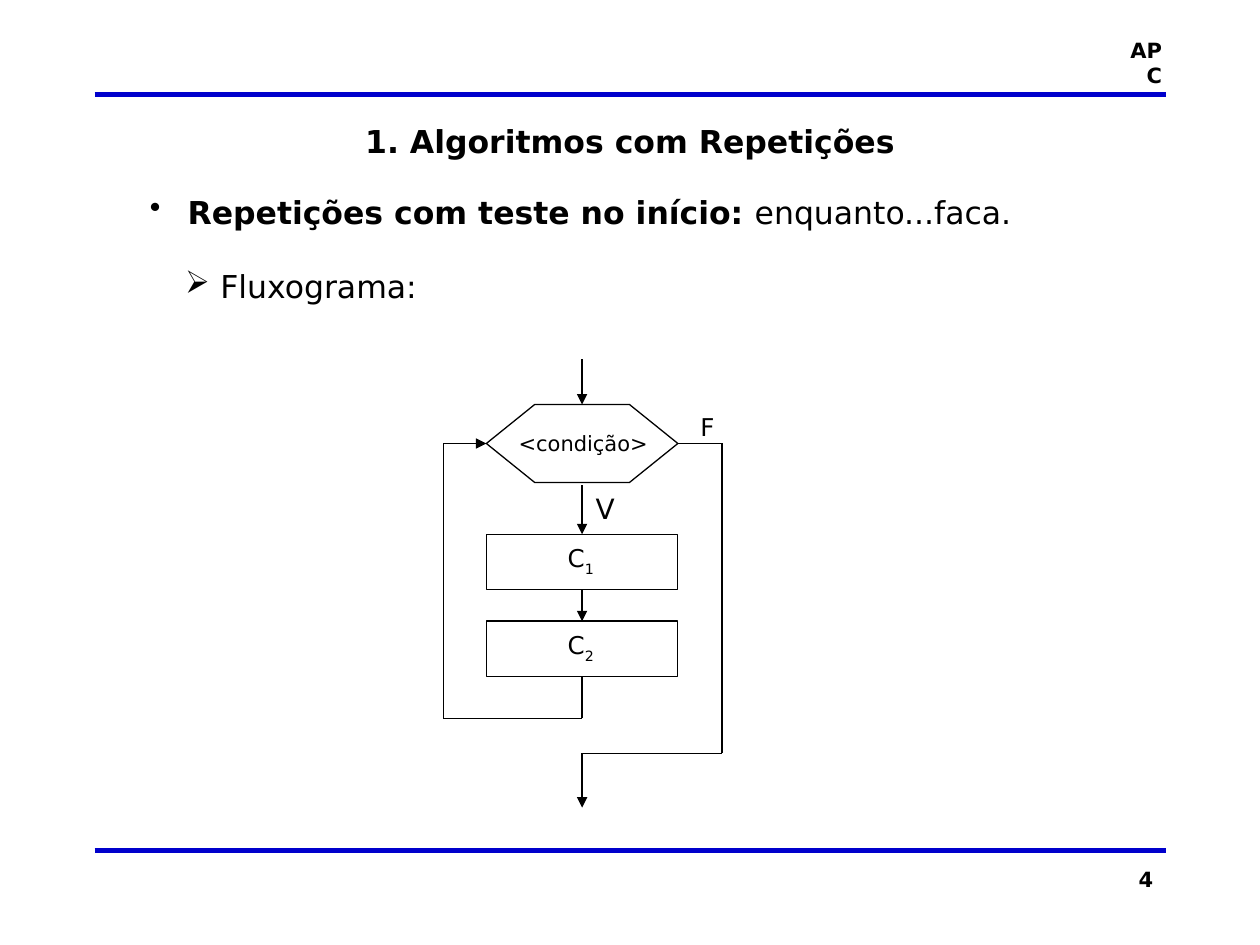
import dataclasses
import typing

import lxml.etree
import pptx
import pptx.dml.color
import pptx.enum.shapes
import pptx.enum.text
import pptx.oxml.ns
import pptx.util

BLACK = pptx.dml.color.RGBColor(0x00, 0x00, 0x00)
WHITE = pptx.dml.color.RGBColor(0xFF, 0xFF, 0xFF)
RULE_BLUE = pptx.dml.color.RGBColor(0x00, 0x00, 0xCC)
FONT = "DejaVu Sans"
ALIGN = pptx.enum.text.PP_ALIGN
ANCHOR = pptx.enum.text.MSO_ANCHOR
SHAPE = pptx.enum.shapes.MSO_SHAPE

SLIDE_WIDTH = pptx.util.Inches(10)
SLIDE_HEIGHT = pptx.util.Inches(7.5)
CELL = SLIDE_WIDTH // 100
MARGIN = 7.5
LOOP, BOX_LEFT, AXIS, BOX_RIGHT, EXIT = 35.2, 38.6, 46.2, 53.8, 57.3
BOX_WIDTH = BOX_RIGHT - BOX_LEFT
BOX_HEIGHT = 4.4
ENTRY, TEST_TOP, TEST_MIDDLE, TEST_BOTTOM = 28.5, 32.1, 35.2, 38.5
COMMAND_TOPS = (42.4, 49.3)
LOOP_BOTTOM, EXIT_BOTTOM, END = 57, 59.8, 64.1


@dataclasses.dataclass(frozen=True)
class Area:
    """A rectangle in grid columns and rows."""

    column: float
    row: float
    width: float
    height: float

    def lengths(self) -> tuple[int, ...]:
        """Return left, top, width and height as slide lengths."""
        return tuple(round(value * CELL) for value in dataclasses.astuple(self))


@dataclasses.dataclass(frozen=True)
class Label:
    """A single-line text box."""

    text: str
    area: Area
    size: int
    bold: bool = False
    alignment: typing.Any = ALIGN.LEFT
    wrap: bool = True


@dataclasses.dataclass(frozen=True)
class Flow:
    """A straight flowchart line, with optional joined boxes."""

    start: tuple[float, float]
    end: tuple[float, float]
    arrow: bool = False
    source: typing.Optional[int] = None
    target: typing.Optional[int] = None


@dataclasses.dataclass(frozen=True)
class Bullet:
    """A bulleted paragraph with bold and regular text."""

    mark: str
    bold: str
    regular: str
    margin: float
    hanging: float
    space_before: int


RULE_ROWS = (67.5, 7.5)
LABELS = (
    Label("APC", Area(88, 2.5, 5.2, 3), 12, True, ALIGN.RIGHT),
    Label("4", Area(71.7, 68.3, 20.8, 5), 12, True, ALIGN.RIGHT),
    Label("V", Area(46.3, 38.5, 3.3, 3.7), 16, wrap=False),
    Label("F", Area(54.6, 32.2, 3, 3.4), 14, wrap=False),
)
BULLETS = (
    Bullet("•", "Repetições com teste no início: ", "enquanto...faca.", 3, 3, 0),
    Bullet("➢", "", "Fluxograma:", 5.6, 2.8, 21),
)
FLOWS = (
    Flow((AXIS, ENTRY), (AXIS, TEST_TOP), True),
    Flow((AXIS, TEST_BOTTOM), (AXIS, COMMAND_TOPS[0]), True, target=0),
    Flow((AXIS, COMMAND_TOPS[0] + BOX_HEIGHT), (AXIS, COMMAND_TOPS[1]), True, 0, 1),
    Flow((AXIS, COMMAND_TOPS[1] + BOX_HEIGHT), (AXIS, LOOP_BOTTOM), source=1),
    Flow((AXIS, LOOP_BOTTOM), (LOOP, LOOP_BOTTOM)),
    Flow((LOOP, LOOP_BOTTOM), (LOOP, TEST_MIDDLE)),
    Flow((LOOP, TEST_MIDDLE), (BOX_LEFT, TEST_MIDDLE), True),
    Flow((BOX_RIGHT, TEST_MIDDLE), (EXIT, TEST_MIDDLE)),
    Flow((EXIT, TEST_MIDDLE), (EXIT, EXIT_BOTTOM)),
    Flow((EXIT, EXIT_BOTTOM), (AXIS, EXIT_BOTTOM)),
    Flow((AXIS, EXIT_BOTTOM), (AXIS, END), True),
)


def format_runs(paragraph, size: int, bold: bool = False) -> None:
    """Give every run of a paragraph the slide's font."""
    for run in paragraph.runs:
        run.font.name = FONT
        run.font.size = pptx.util.Pt(size)
        run.font.bold = bold
        run.font.color.rgb = BLACK


def draw_line(slide, start: tuple, end: tuple, color, weight: float):
    """Draw a straight line between two grid points."""
    points = [round(value * CELL) for value in (*start, *end)]
    line = slide.shapes.add_connector(pptx.enum.shapes.MSO_CONNECTOR.STRAIGHT, *points)
    line.line.color.rgb = color
    line.line.width = pptx.util.Pt(weight)
    lxml.etree.SubElement(line._element.spPr, pptx.oxml.ns.qn("a:effectLst"))
    return line


def draw_flow(slide, flow: Flow, boxes: list) -> None:
    """Draw a flowchart line and join it to its boxes."""
    line = draw_line(slide, flow.start, flow.end, BLACK, 0.75)
    if flow.source is not None:
        line.begin_connect(boxes[flow.source], 2)
    if flow.target is not None:
        line.end_connect(boxes[flow.target], 0)
    if flow.arrow:
        outline = line.line._get_or_add_ln()
        lxml.etree.SubElement(outline, pptx.oxml.ns.qn("a:tailEnd"), type="triangle")


def draw_box(slide, kind, area: Area, outline):
    """Draw a white shape with a thin outline."""
    shape = slide.shapes.add_shape(kind, *area.lengths())
    shape.shadow.inherit = False
    shape.fill.solid()
    shape.fill.fore_color.rgb = WHITE
    shape.line.color.rgb = outline
    shape.line.width = pptx.util.Pt(0.75)
    return shape


def draw_caption(slide, area: Area, text: str, size: int, subscript: str = "") -> None:
    """Draw a centred caption on a white patch."""
    frame = draw_box(slide, SHAPE.RECTANGLE, area, WHITE).text_frame
    frame.margin_left = frame.margin_right = frame.margin_top = frame.margin_bottom = 0
    frame.vertical_anchor = ANCHOR.MIDDLE
    paragraph = frame.paragraphs[0]
    paragraph.text = text
    paragraph.alignment = ALIGN.CENTER
    if subscript:
        run = paragraph.add_run()
        run.text = subscript
        run.font._element.set("baseline", "-30000")
    format_runs(paragraph, size)


def draw_label(slide, label: Label) -> None:
    """Draw a single-line text box."""
    frame = slide.shapes.add_textbox(*label.area.lengths()).text_frame
    frame.word_wrap = label.wrap
    frame.text = label.text
    frame.paragraphs[0].alignment = label.alignment
    format_runs(frame.paragraphs[0], label.size, label.bold)


def draw_bullets(slide, area: Area) -> None:
    """Draw the bulleted text."""
    frame = slide.shapes.add_textbox(*area.lengths()).text_frame
    frame.word_wrap = True
    for index, bullet in enumerate(BULLETS):
        paragraph = frame.add_paragraph() if index else frame.paragraphs[0]
        paragraph.level = index
        paragraph.space_before = pptx.util.Pt(bullet.space_before)
        properties = paragraph._p.get_or_add_pPr()
        properties.set("marL", str(round(bullet.margin * CELL)))
        properties.set("indent", str(-round(bullet.hanging * CELL)))
        lxml.etree.SubElement(properties, pptx.oxml.ns.qn("a:buChar"), char=bullet.mark)
        paragraph.text = bullet.bold + bullet.regular
        if bullet.bold:
            paragraph.text = bullet.bold
            paragraph.add_run().text = bullet.regular
        format_runs(paragraph, 18)
        paragraph.runs[0].font.bold = bool(bullet.bold)


def set_title(slide, text: str, area: Area) -> None:
    """Place and format the title placeholder."""
    title = slide.shapes.title
    title.left, title.top, title.width, title.height = area.lengths()
    frame = title.text_frame
    frame.text = text
    frame.auto_size = pptx.enum.text.MSO_AUTO_SIZE.NONE
    frame.vertical_anchor = ANCHOR.TOP
    frame.paragraphs[0].alignment = ALIGN.CENTER
    format_runs(frame.paragraphs[0], 18, True)


def main() -> None:
    """Build and save the slide."""
    presentation = pptx.Presentation()
    presentation.slide_width, presentation.slide_height = SLIDE_WIDTH, SLIDE_HEIGHT
    slide = presentation.slides.add_slide(presentation.slide_layouts[5])
    set_title(slide, "1. Algoritmos com Repetições", Area(MARGIN, 9.2, 85, 4))
    for row in RULE_ROWS:
        draw_line(slide, (MARGIN, row), (100 - MARGIN, row), RULE_BLUE, 3)
    draw_bullets(slide, Area(10.9, 14.8, 75.8, 10))
    test = draw_box(slide, SHAPE.HEXAGON, Area(BOX_LEFT, TEST_TOP, BOX_WIDTH, 6.2), BLACK)
    test.adjustments[0] = 0.62
    boxes = [draw_box(slide, SHAPE.RECTANGLE, Area(BOX_LEFT, top, BOX_WIDTH, BOX_HEIGHT), BLACK)
             for top in COMMAND_TOPS]
    for flow in FLOWS:
        draw_flow(slide, flow, boxes)
    draw_caption(slide, Area(40.8, 34, 11, 2.4), "<condição>", 12)
    for number, top in enumerate(COMMAND_TOPS, start=1):
        draw_caption(slide, Area(43.4, top + 0.4, 5.4, 3.3), "C", 14, str(number))
    for label in LABELS:
        draw_label(slide, label)
    presentation.save("out.pptx")


if __name__ == "__main__":
    main()
